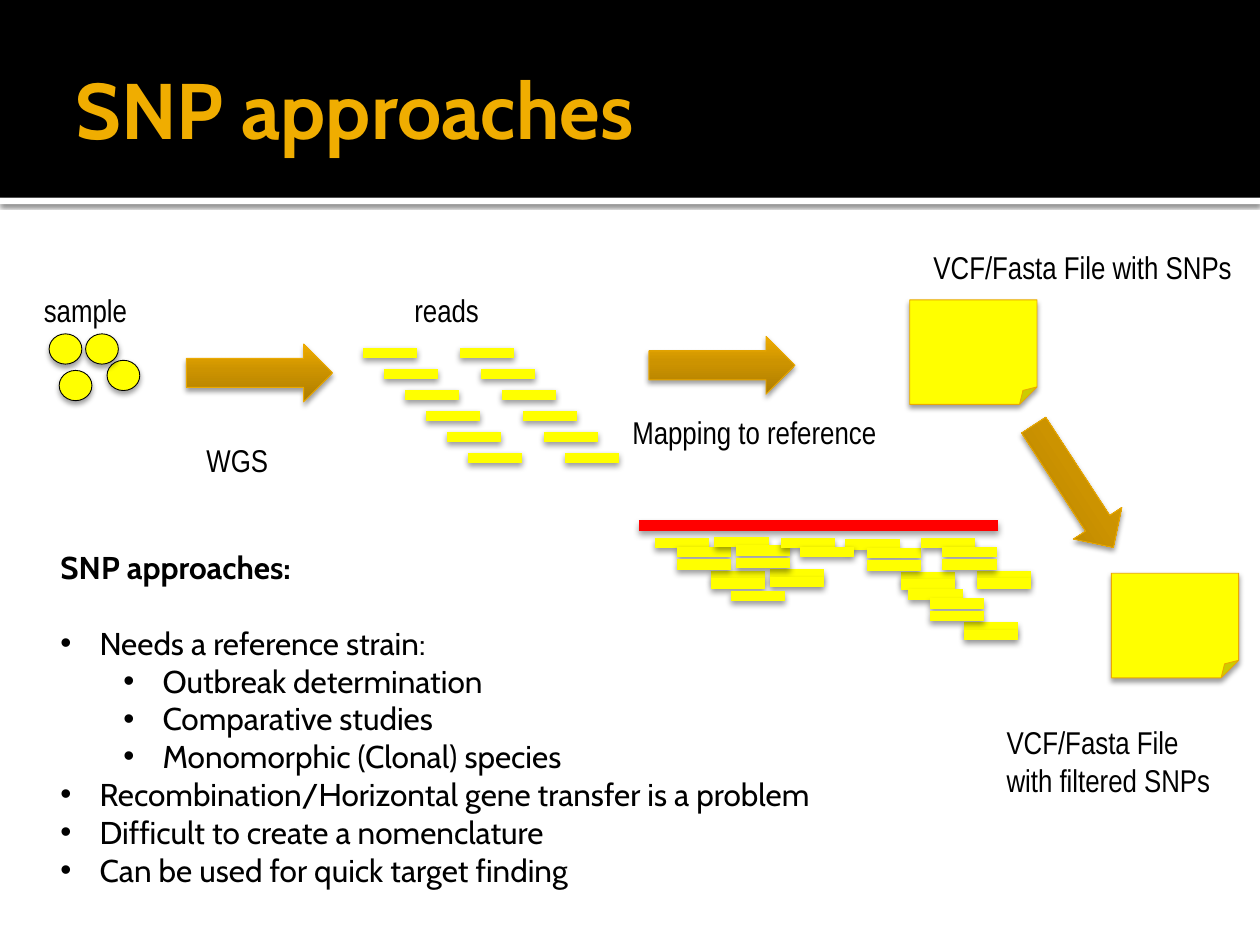
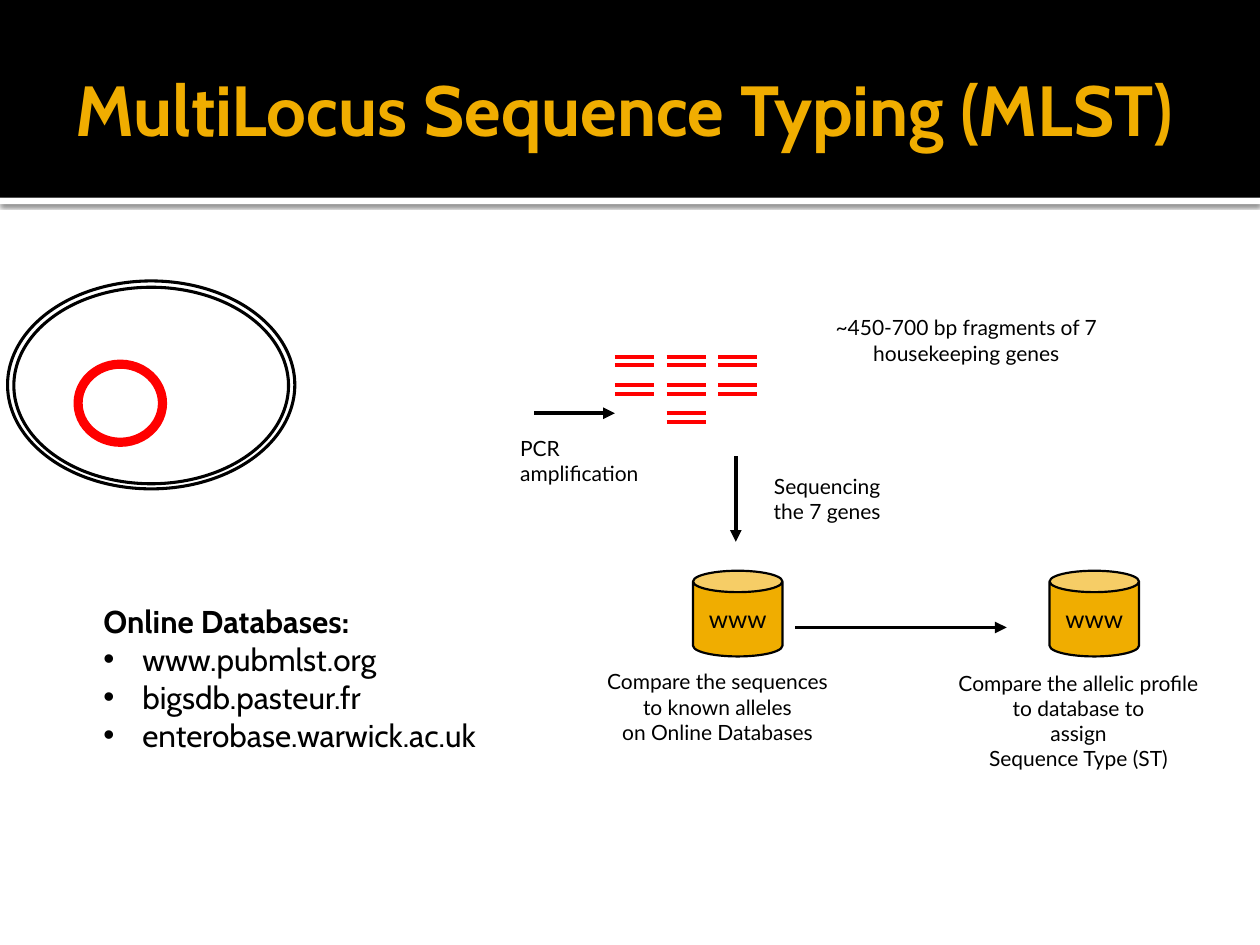
from copy import deepcopy

from lxml import etree
from pptx import Presentation
from pptx.dml.color import RGBColor
from pptx.enum.shapes import MSO_CONNECTOR, MSO_SHAPE
from pptx.enum.text import MSO_ANCHOR, MSO_AUTO_SIZE, PP_ALIGN
from pptx.oxml.ns import qn
from pptx.util import Inches, Pt

BLACK = RGBColor(0x00, 0x00, 0x00)
WHITE = RGBColor(0xFF, 0xFF, 0xFF)
YELLOW = RGBColor(0xFF, 0xFF, 0x00)
RED = RGBColor(0xFF, 0x00, 0x00)
GOLD = RGBColor(0xF0, 0xAD, 0x00)
GOLD_EDGE = RGBColor(0xEB, 0xA9, 0x00)
GOLD_STOPS = [
    (0, RGBColor(0xAE, 0x7D, 0x00)),
    (0.55, RGBColor(0xCC, 0x93, 0x00)),
    (1, RGBColor(0xEE, 0xAB, 0x00)),
]

RECT = MSO_SHAPE.RECTANGLE
ELLIPSE = MSO_SHAPE.OVAL
ARROW = MSO_SHAPE.RIGHT_ARROW
NOTE = MSO_SHAPE.FOLDED_CORNER
CAN = MSO_SHAPE.CAN
STRAIGHT = MSO_CONNECTOR.STRAIGHT
LEFT, CENTER = PP_ALIGN.LEFT, PP_ALIGN.CENTER
MIDDLE = MSO_ANCHOR.MIDDLE
NO_FIT = MSO_AUTO_SIZE.NONE

HEAD_FONT = "Cabin"
FLOW_FONT = "Arial Narrow"
LAB_FONT = "Lato"
BAND_SHADOW = (60, 2.5, 0.8)
SHAPE_SHADOW = (38, 3.1, 2)
READ_SHADOW = (38, 3.5, 2)
READ_LENGTH = 0.43


class Deck:
    def __init__(self):
        self.prs = Presentation()
        self.prs.slide_width = Inches(10)
        self.prs.slide_height = Inches(7.5)
        self.layout = self.prs.slide_layouts[1]
        self.place(self.layout.placeholders[0], 0.5, 0.17, 9, 1.37)
        self.s = None

    def place(self, sp, left, top, width, height):
        sp.left, sp.top = Inches(left), Inches(top)
        sp.width, sp.height = Inches(width), Inches(height)

    def new_slide(self, title, size):
        first = self.s is None
        self.s = self.prs.slides.add_slide(self.layout)
        if first:
            self.add_bands()
        tf = self.s.shapes.title.text_frame
        tf.text = title
        tf.auto_size = NO_FIT
        tf.vertical_anchor = MIDDLE
        tf.margin_left = Inches(0.1)
        tf.margin_right = tf.margin_top = tf.margin_bottom = Inches(0.05)
        self.style(tf.paragraphs[0], HEAD_FONT, size, GOLD, LEFT, True)

    def add_bands(self):
        rule = self.shape(RECT, 0, 1.57, 10, 0.05, WHITE, shadow=BAND_SHADOW)
        header = self.shape(RECT, 0, 0, 10, 1.57, BLACK)
        tree = self.layout.shapes.element
        tree.insert(2, rule.element)
        tree.insert(3, header.element)

    def style(self, p, font, size, color=BLACK, align=LEFT, bold=False):
        p.alignment = align
        for r in p.runs:
            r.font.name = font
            r.font.size = Pt(size)
            r.font.bold = bold
            r.font.color.rgb = color

    def effect(self, sp, shadow):
        effects = etree.SubElement(sp.element.spPr, qn("a:effectLst"))
        if shadow:
            alpha, blur, dist = shadow
            outer = etree.SubElement(
                effects, qn("a:outerShdw"), blurRad=str(Pt(blur)),
                dist=str(Pt(dist)), dir="5400000", rotWithShape="0")
            color = etree.SubElement(outer, qn("a:srgbClr"), val=str(BLACK))
            etree.SubElement(color, qn("a:alpha"), val=str(alpha * 1000))

    def shape(self, kind, left, top, width, height, fill=None, line=None,
              weight=0.5, shadow=None):
        sp = self.s.shapes.add_shape(
            kind, Inches(left), Inches(top), Inches(width), Inches(height))
        if fill is None:
            sp.fill.background()
        else:
            sp.fill.solid()
            sp.fill.fore_color.rgb = fill
        if line is None:
            sp.line.fill.background()
        else:
            sp.line.color.rgb = line
            sp.line.width = Pt(weight)
        self.effect(sp, shadow)
        return sp

    def block_arrow(self, left, top, rotation=0):
        sp = self.shape(ARROW, left, top, 1.16, 0.46, GOLD, GOLD_EDGE,
                        shadow=SHAPE_SHADOW)
        sp.rotation = rotation
        sp.fill.gradient()
        sp.fill.gradient_angle = 90
        stops = sp.element.spPr.find(".//" + qn("a:gsLst"))
        stops.append(deepcopy(stops[-1]))
        for stop, (position, color) in zip(sp.fill.gradient_stops, GOLD_STOPS):
            stop.position = position
            stop.color.rgb = color

    def note(self, left, top):
        self.shape(NOTE, left, top, 1.01, 0.83, YELLOW, GOLD_EDGE,
                   shadow=SHAPE_SHADOW)

    def database(self, left, top):
        sp = self.shape(CAN, left, top, 0.71, 0.68, GOLD, BLACK, 1.25)
        sp.adjustments[0] = 0.25
        tf = sp.text_frame
        tf.text = "www"
        tf.word_wrap = False
        tf.vertical_anchor = MIDDLE
        self.style(tf.paragraphs[0], LAB_FONT, 14, align=CENTER)

    def line(self, x1, y1, x2, y2, color, weight, shadow=None, arrow=False):
        sp = self.s.shapes.add_connector(
            STRAIGHT, Inches(x1), Inches(y1), Inches(x2), Inches(y2))
        sp.line.color.rgb = color
        sp.line.width = Pt(weight)
        if arrow:
            etree.SubElement(sp.element.spPr.find(qn("a:ln")),
                             qn("a:tailEnd"), type="triangle")
        self.effect(sp, shadow)

    def read(self, x, y, length=READ_LENGTH, color=YELLOW):
        self.line(x, y, x + length, y, color, 6, READ_SHADOW)

    def label(self, text, left, top, width, height, font, size, align=LEFT):
        sp = self.s.shapes.add_textbox(
            Inches(left), Inches(top), Inches(width), Inches(height))
        tf = sp.text_frame
        tf.text = text
        tf.word_wrap = False
        for p in tf.paragraphs:
            self.style(p, font, size, align=align)

    def bullets(self, heading, items, left, top, width, height, gap=0):
        sp = self.s.placeholders[1]
        self.place(sp, left, top, width, height)
        tf = sp.text_frame
        tf.text = "\n".join([heading] + [text for _, text in items])
        tf.word_wrap = True
        tf.auto_size = NO_FIT
        title, *rows = tf.paragraphs
        title_pr = title._p.get_or_add_pPr()
        title_pr.set("marL", "0")
        title_pr.set("indent", "0")
        etree.SubElement(title_pr, qn("a:buNone"))
        for p, (level, _) in zip(rows, items):
            p.level = level
            pr = p._p.get_or_add_pPr()
            pr.set("marL", str(Inches(0.31 + 0.5 * level)))
            pr.set("indent", str(Inches(-0.31)))
            etree.SubElement(pr, qn("a:buFont"), typeface="Arial")
            etree.SubElement(pr, qn("a:buChar"), char="•")
        for p in tf.paragraphs:
            p.space_before = Pt(0)
            self.style(p, HEAD_FONT, 18, bold=p._p is title._p)
        rows[0].space_before = Pt(gap)


def build_snp(deck):
    deck.new_slide("SNP approaches", 45)
    for left, top in [(0.39, 2.65), (0.47, 2.94), (0.85, 2.86), (0.68, 2.65)]:
        deck.shape(ELLIPSE, left, top, 0.26, 0.24, YELLOW, BLACK,
                   shadow=SHAPE_SHADOW)
    deck.block_arrow(1.48, 2.73)
    deck.block_arrow(5.15, 2.67)

    step = 0.5 / 3
    for column_left in (2.88, 3.65):
        for row in range(6):
            deck.read(column_left + row * step, 2.8 + row * step)

    deck.note(7.22, 2.38)
    deck.read(5.07, 4.17, 2.85, RED)
    pileup = [(0, 0), (0.17, 0.07), (0.44, 0.26), (0.17, 0.17), (0.44, 0.32)]
    pileup_starts = [(5.2, 4.31), (5.67, 4.3), (6.71, 4.32), (7.31, 4.31),
                     (7.21, 4.72)]
    for x, y in pileup_starts:
        for dx, dy in pileup:
            deck.read(x + dx, y + dy)
    for x, y in [(5.8, 4.73), (6.2, 4.31), (6.35, 4.38)]:
        deck.read(x, y)

    for text, left, top, width, height in [
        ("sample", 0.25, 2.26, 0.87, 0.4),
        ("WGS", 1.54, 3.45, 0.7, 0.4),
        ("reads", 3.19, 2.26, 0.72, 0.4),
        ("Mapping to reference", 4.92, 3.23, 2.16, 0.4),
        ("VCF/Fasta File with SNPs", 7.31, 1.92, 2.59, 0.4),
        ("VCF/Fasta File\nwith filtered SNPs", 7.89, 5.69, 1.84, 0.71),
    ]:
        deck.label(text, left, top, width, height, FLOW_FONT, 18)

    deck.bullets("SNP approaches:", [
        (0, "Needs a reference strain:"),
        (1, "Outbreak determination"),
        (1, "Comparative studies"),
        (1, "Monomorphic (Clonal) species"),
        (0, "Recombination/Horizontal gene transfer is a problem"),
        (0, "Difficult to create a nomenclature"),
        (0, "Can be used for quick target finding"),
    ], 0.38, 4.3, 6.85, 3.13, gap=21.6)
    deck.note(8.82, 4.55)
    deck.block_arrow(7.94, 3.63, 56.9)


def build_mlst(deck):
    deck.new_slide("MultiLocus Sequence Typing (MLST)", 40.5)
    deck.shape(ELLIPSE, 0.06, 2.23, 2.28, 1.65, line=BLACK, weight=1.75)
    deck.shape(ELLIPSE, 0.11, 2.28, 2.18, 1.56, line=BLACK, weight=1.75)
    deck.shape(ELLIPSE, 0.62, 2.89, 0.67, 0.62, line=RED, weight=5.25)

    for row, columns in enumerate([(0, 1, 2), (0, 1, 2), (1,)]):
        for column in columns:
            x = 4.88 + 0.41 * column
            for strand in range(2):
                y = 2.83 + 0.225 * row + 0.07 * strand
                deck.line(x, y, x + 0.31, y, RED, 2.25)

    for x1, y1, x2, y2 in [(4.24, 3.28, 4.88, 3.28), (5.84, 3.62, 5.84, 4.3),
                           (6.31, 4.98, 7.99, 4.98)]:
        deck.line(x1, y1, x2, y2, BLACK, 2.25, arrow=True)
    for left in (5.5, 8.33):
        deck.database(left, 4.53)

    deck.label("PCR\namplification", 4.03, 3.41, 1.14, 0.5, LAB_FONT, 12)
    for text, left, top, width, height in [
        ("~450-700 bp fragments of 7\nhousekeeping genes",
         6.29, 2.45, 2.76, 0.5),
        ("Sequencing\nthe 7 genes", 6.01, 3.71, 1.11, 0.5),
        ("Compare the sequences\nto known alleles\non Online Databases",
         4.7, 5.26, 1.99, 0.71),
        ("Compare the allelic profile\nto database to\nassign\n"
         "Sequence Type (ST)", 7.49, 5.27, 2.14, 0.91),
    ]:
        deck.label(text, left, top, width, height, LAB_FONT, 12, CENTER)

    deck.bullets("Online Databases:", [
        (0, "www.pubmlst.org"),
        (0, "bigsdb.pasteur.fr"),
        (0, "enterobase.warwick.ac.uk"),
    ], 0.72, 4.73, 3.24, 1.62)


def main():
    deck = Deck()
    build_snp(deck)
    build_mlst(deck)
    deck.prs.save("out.pptx")


if __name__ == "__main__":
    main()
